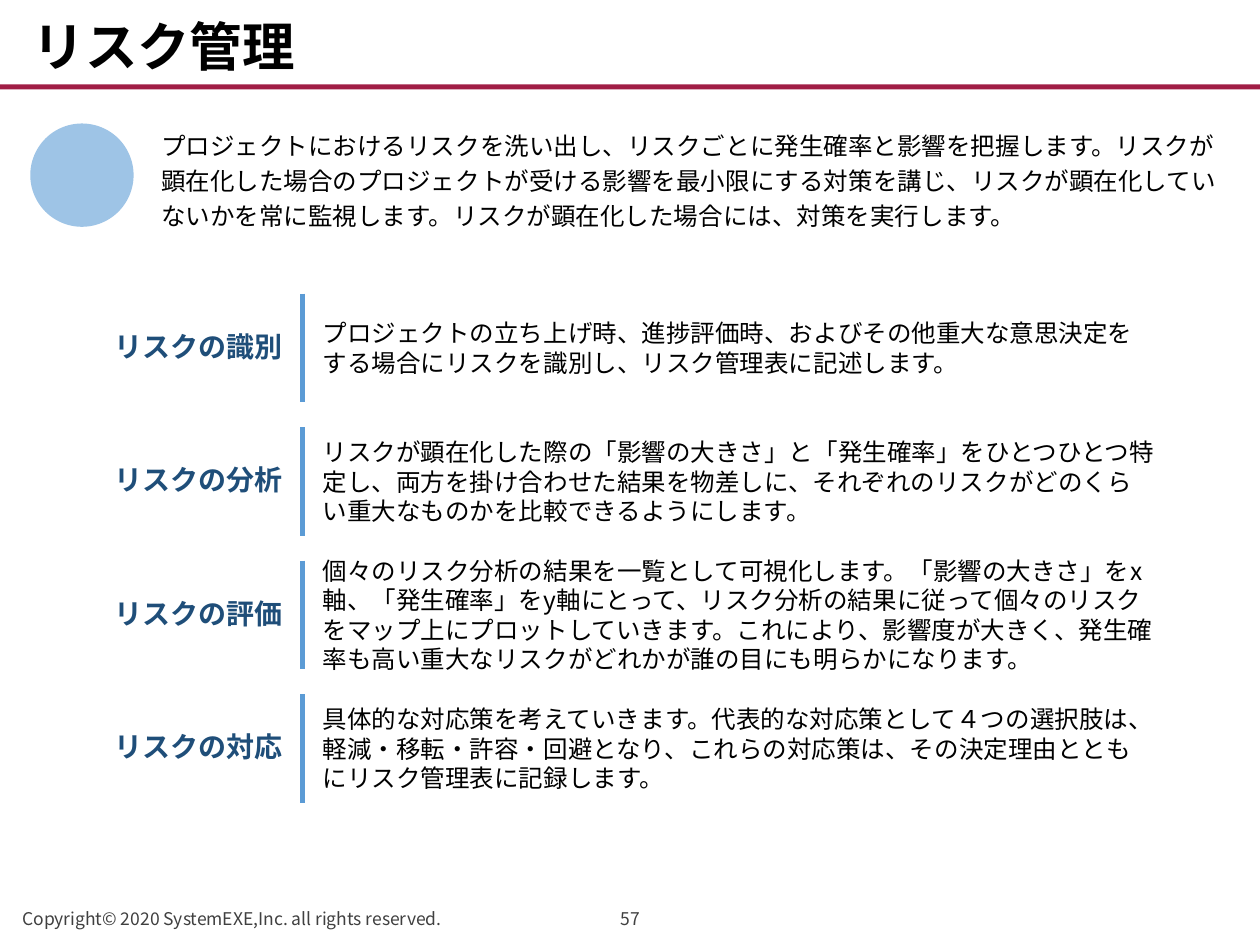
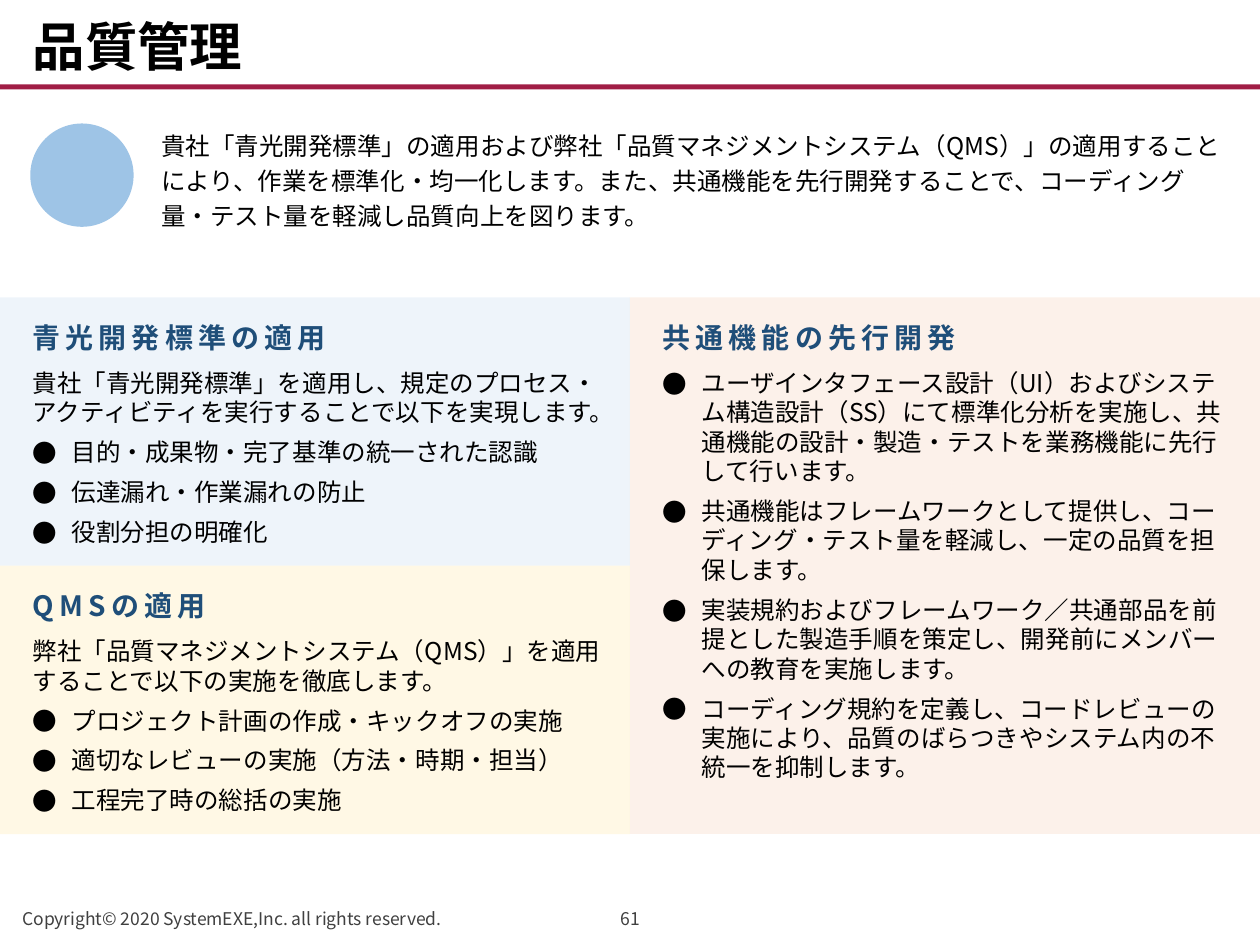
"""Build two project management slides: risk management and quality management."""
import pptx
import pptx.enum.shapes
import pptx.enum.text
import pptx.oxml.ns
import pptx.util
from lxml import etree
from pptx.util import Inches

COLORS = {
    "band": "A01D45",
    "accent": "5B9BD5",
    "heading": "1F4E79",
    "body": "000000",
    "footer": "404040",
    "blue": "DEEBF7",
    "orange": "FBE5D6",
    "yellow": "FFF2CC",
}
FONT = "Noto Sans CJK JP"
SHAPES = pptx.enum.shapes.MSO_SHAPE
ALIGN = pptx.enum.text.PP_ALIGN
ANCHOR = pptx.enum.text.MSO_ANCHOR
qn = pptx.oxml.ns.qn


def add_text(slide, box, paragraphs, size=14, color="body", bold=False, align=ALIGN.LEFT,
             anchor=ANCHOR.TOP, side_insets=(0.1, 0.1), line_spacing=None, tracking=0, wrap=True):
    """Add a text box; paragraphs starting with ● become bullets."""
    frame = slide.shapes.add_textbox(*map(Inches, box)).text_frame
    frame.word_wrap = wrap
    frame.vertical_anchor = anchor
    frame.margin_left, frame.margin_right = map(Inches, side_insets)
    for index, text in enumerate(paragraphs):
        paragraph = frame.paragraphs[0] if index == 0 else frame.add_paragraph()
        paragraph.text = text.removeprefix("●")
        paragraph.alignment = align
        if text.startswith("●"):
            properties = paragraph._p.get_or_add_pPr()
            properties.set("marL", str(Inches(0.31)))
            properties.set("indent", str(-Inches(0.31)))
            etree.SubElement(properties, qn("a:buFont"), typeface=FONT)
            etree.SubElement(properties, qn("a:buChar"), char="●")
        if index:
            paragraph.space_before = pptx.util.Pt(6)
        if line_spacing:
            paragraph.line_spacing = line_spacing
        for run in paragraph.runs:
            run.font.size = pptx.util.Pt(size)
            run.font.bold = bold
            run.font.color.rgb = pptx.dml.color.RGBColor.from_string(COLORS[color])
            run.font.name = FONT
            run_properties = run._r.get_or_add_rPr()
            run_properties.set("lang", "ja-JP")
            if tracking:
                run_properties.set("spc", str(tracking * 100))
            latin = run_properties.find(qn("a:latin"))
            latin.addnext(etree.Element(qn("a:ea"), typeface=FONT))


def add_filled(slide, kind, box, color, opacity=100):
    """Add a borderless shape with a solid, possibly translucent fill."""
    shape = slide.shapes.add_shape(kind, *map(Inches, box))
    shape.shadow.inherit = False
    shape.line.fill.background()
    shape.fill.solid()
    shape.fill.fore_color.rgb = pptx.dml.color.RGBColor.from_string(COLORS[color])
    if opacity < 100:
        tint = shape._element.spPr.find(".//" + qn("a:srgbClr"))
        etree.SubElement(tint, qn("a:alpha"), val=str(opacity * 1000))


deck = pptx.Presentation()
deck.slide_width, deck.slide_height = Inches(10), Inches(7.5)

topics = [
    ("リスク管理", "57",
     "プロジェクトにおけるリスクを洗い出し、リスクごとに発生確率と影響を把握します。"
     "リスクが顕在化した場合のプロジェクトが受ける影響を最小限にする対策を講じ、"
     "リスクが顕在化していないかを常に監視します。リスクが顕在化した場合には、対策を実行します。"),
    ("品質管理", "61",
     "貴社「青光開発標準」の適用および弊社「品質マネジメントシステム（QMS）」の適用することにより、"
     "作業を標準化・均一化します。また、共通機能を先行開発することで、"
     "コーディング量・テスト量を軽減し品質向上を図ります。"),
]
for title, page_number, summary in topics:
    slide = deck.slides.add_slide(deck.slide_layouts[6])
    add_filled(slide, SHAPES.RECTANGLE, (0, 0.67, 10, 0.04), "band")
    add_text(slide, (0.16, 0.04, 9.69, 0.63), [title], size=30, bold=True,
             anchor=ANCHOR.BOTTOM, line_spacing=0.9, wrap=False)
    add_text(slide, (0.08, 7.11, 4.25, 0.31), ["Copyright© 2020 SystemEXE,Inc. all rights reserved."],
             size=10, color="footer", anchor=ANCHOR.BOTTOM)
    add_text(slide, (4.61, 7.11, 0.79, 0.31), [page_number],
             size=10, color="footer", align=ALIGN.CENTER, anchor=ANCHOR.BOTTOM)
    add_text(slide, (1.18, 0.94, 8.66, 1.02), [summary], line_spacing=1.2)
    add_filled(slide, SHAPES.OVAL, (0.24, 0.98, 0.82, 0.82), "accent", 59)

risk_slide, quality_slide = deck.slides

risk_steps = [
    ("リスクの識別",
     "プロジェクトの立ち上げ時、進捗評価時、およびその他重大な意思決定をする場合にリスクを識別し、"
     "リスク管理表に記述します。"),
    ("リスクの分析",
     "リスクが顕在化した際の「影響の大きさ」と「発生確率」をひとつひとつ特定し、"
     "両方を掛け合わせた結果を物差しに、それぞれのリスクがどのくらい重大なものかを比較できるようにします。"),
    ("リスクの評価",
     "個々のリスク分析の結果を一覧として可視化します。「影響の大きさ」をx軸、「発生確率」をy軸にとって、"
     "リスク分析の結果に従って個々のリスクをマップ上にプロットしていきます。"
     "これにより、影響度が大きく、発生確率も高い重大なリスクがどれかが誰の目にも明らかになります。"),
    ("リスクの対応",
     "具体的な対応策を考えていきます。代表的な対応策として４つの選択肢は、軽減・移転・許容・回避となり、"
     "これらの対応策は、その決定理由とともにリスク管理表に記録します。"),
]
for row, (step, explanation) in enumerate(risk_steps):
    top = 2.33 + 1.06 * row
    divider = risk_slide.shapes.add_connector(
        pptx.enum.shapes.MSO_CONNECTOR.STRAIGHT,
        Inches(2.4), Inches(top), Inches(2.4), Inches(top + 0.86))
    divider.line.color.rgb = pptx.dml.color.RGBColor.from_string(COLORS["accent"])
    divider.line.width = pptx.util.Pt(3)
    etree.SubElement(divider._element.spPr, qn("a:effectLst"))
    add_text(risk_slide, (0.71, top, 1.65, 0.83), [step], size=16, color="heading", bold=True,
             align=ALIGN.RIGHT, anchor=ANCHOR.MIDDLE, side_insets=(0.12, 0.12))
    add_text(risk_slide, (2.44, top, 6.85, 0.86), [explanation],
             anchor=ANCHOR.MIDDLE, side_insets=(0.12, 0.12))

quality_panels = [
    (0, 2.36, 2.13, "blue", 0, "青光開発標準の適用", [
        "貴社「青光開発標準」を適用し、規定のプロセス・アクティビティを実行することで以下を実現します。",
        "●目的・成果物・完了基準の統一された認識",
        "●伝達漏れ・作業漏れの防止",
        "●役割分担の明確化",
    ]),
    (5, 2.36, 4.26, "orange", 0.1, "共通機能の先行開発", [
        "●ユーザインタフェース設計（UI）およびシステム構造設計（SS）にて標準化分析を実施し、"
        "共通機能の設計・製造・テストを業務機能に先行して行います。",
        "●共通機能はフレームワークとして提供し、コーディング・テスト量を軽減し、一定の品質を担保します。",
        "●実装規約およびフレームワーク／共通部品を前提とした製造手順を策定し、"
        "開発前にメンバーへの教育を実施します。",
        "●コーディング規約を定義し、コードレビューの実施により、"
        "品質のばらつきやシステム内の不統一を抑制します。",
    ]),
    (0, 4.49, 2.13, "yellow", 0, "QMSの適用", [
        "弊社「品質マネジメントシステム（QMS）」を適用することで以下の実施を徹底します。",
        "●プロジェクト計画の作成・キックオフの実施",
        "●適切なレビューの実施（方法・時期・担当）",
        "●工程完了時の総括の実施",
    ]),
]
for left, top, height, tint, right_inset, heading, points in quality_panels:
    add_filled(quality_slide, SHAPES.RECTANGLE, (left, top, 5, height), tint, 50)
    add_text(quality_slide, (left + 0.16, top + 0.16, 4.69, 0.31), [heading], size=16,
             color="heading", bold=True, anchor=ANCHOR.MIDDLE, tracking=3)
    add_text(quality_slide, (left + 0.16, top + 0.51, 4.69, height - 0.63), points,
             side_insets=(0.1, right_inset))

deck.save("out.pptx")
